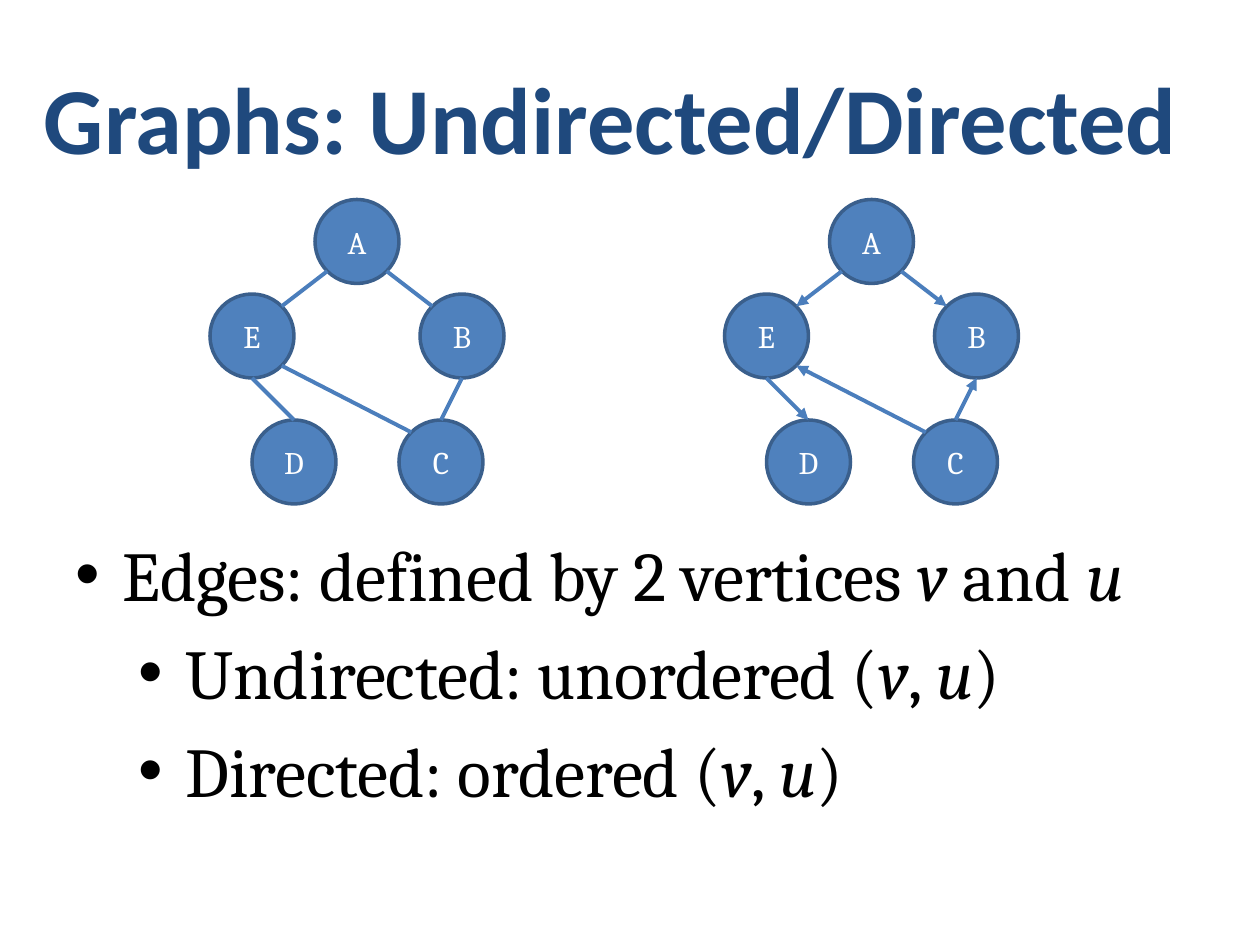
from dataclasses import dataclass
from math import cos, radians, sin
from typing import NamedTuple

from pptx import Presentation
from pptx.dml.color import RGBColor as Color
from pptx.enum.shapes import MSO_CONNECTOR as Connector, MSO_SHAPE as Preset
from pptx.enum.text import MSO_ANCHOR as Anchor, PP_ALIGN as Align
from pptx.oxml.ns import qn
from pptx.slide import Slide
from pptx.text.text import TextFrame
from pptx.util import Pt
from lxml.etree import SubElement


@dataclass(frozen=True)
class Theme:
    title_font: str = "Calibri"
    body_font: str = "Cambria"
    title_color: Color = Color.from_string("1F497D")
    body_color: Color = Color.from_string("000000")
    node_fill: Color = Color.from_string("4F81BD")
    node_line: Color = Color.from_string("3A5F8C")
    node_text: Color = Color.from_string("FFFFFF")
    edge_line: Color = Color.from_string("4B7EBC")
    title_size: int = 54
    body_size: int = 40
    node_size: int = 18
    node_width: float = 2
    edge_width: float = 2.25


class Node(NamedTuple):
    name: str
    left: float
    top: float


class Edge(NamedTuple):
    target: str
    target_angle: int
    source: str
    source_angle: int


class Bullet(NamedTuple):
    level: int
    spans: tuple[str, ...]


THEME = Theme()
DIAMETER = 48
NODES = (
    Node("A", 180, 114),
    Node("B", 240, 168),
    Node("C", 228, 240),
    Node("D", 144, 240),
    Node("E", 120, 168),
)
EDGES = (
    Edge("E", -45, "A", 135),
    Edge("B", -135, "A", 45),
    Edge("B", 90, "C", -90),
    Edge("E", 45, "C", -135),
    Edge("D", -90, "E", 90),
)
BULLETS = (
    Bullet(0, ("Edges: defined by 2 vertices ", "v ", "and ", "u")),
    Bullet(1, ("Undirected: unordered (", "v", ", ", "u", ")")),
    Bullet(1, ("Directed: ordered (", "v", ", ", "u", ")")),
)


def add_text_box(slide: Slide, left: float, top: float, width: float, height: float) -> TextFrame:
    box = slide.shapes.add_textbox(Pt(left), Pt(top), Pt(width), Pt(height))
    box.text_frame.word_wrap = True
    return box.text_frame


def add_title(slide: Slide, text: str) -> None:
    frame = add_text_box(slide, 18, 21.6, 684, 90)
    frame.vertical_anchor = Anchor.MIDDLE
    para = frame.paragraphs[0]
    para.text = text
    para.font.name = THEME.title_font
    para.font.size = Pt(THEME.title_size)
    para.font.bold = True
    para.font.color.rgb = THEME.title_color


def add_node(slide: Slide, node: Node, shift: float) -> None:
    circle = slide.shapes.add_shape(
        Preset.OVAL, Pt(node.left + shift), Pt(node.top), Pt(DIAMETER), Pt(DIAMETER)
    )
    circle.shadow.inherit = False
    circle.fill.solid()
    circle.fill.fore_color.rgb = THEME.node_fill
    circle.line.color.rgb = THEME.node_line
    circle.line.width = Pt(THEME.node_width)
    circle.text_frame.vertical_anchor = Anchor.MIDDLE
    para = circle.text_frame.paragraphs[0]
    para.text = node.name
    para.alignment = Align.CENTER
    para.font.name = THEME.body_font
    para.font.size = Pt(THEME.node_size)
    para.font.color.rgb = THEME.node_text


def rim_point(node: Node, angle: int, shift: float) -> tuple[Pt, Pt]:
    radius = DIAMETER / 2
    x = node.left + shift + radius * (1 + cos(radians(angle)))
    y = node.top + radius * (1 + sin(radians(angle)))
    return Pt(x), Pt(y)


def add_edge(slide: Slide, edge: Edge, shift: float, directed: bool) -> None:
    nodes = {node.name: node for node in NODES}
    start = rim_point(nodes[edge.target], edge.target_angle, shift)
    end = rim_point(nodes[edge.source], edge.source_angle, shift)
    line = slide.shapes.add_connector(Connector.STRAIGHT, *start, *end)
    line.line.color.rgb = THEME.edge_line
    line.line.width = Pt(THEME.edge_width)
    if directed:
        SubElement(line.line._get_or_add_ln(), qn("a:headEnd"), type="triangle")
    SubElement(line._element.spPr, qn("a:effectLst"))


def add_graph(slide: Slide, shift: float, directed: bool) -> None:
    for node in NODES:
        add_node(slide, node, shift)
    for edge in EDGES:
        add_edge(slide, edge, shift, directed)


def add_bullets(slide: Slide, bullets: tuple[Bullet, ...]) -> None:
    frame = add_text_box(slide, 36, 300, 648, 182)
    for index, bullet in enumerate(bullets):
        para = frame.add_paragraph() if index else frame.paragraphs[0]
        para.level = bullet.level
        para.space_before = Pt(8)
        para.font.name = THEME.body_font
        para.font.size = Pt(THEME.body_size)
        para.font.color.rgb = THEME.body_color
        for position, text in enumerate(bullet.spans):
            span = para.add_run()
            span.text = text
            span.font.italic = position % 2 == 1
        properties = para._p.get_or_add_pPr()
        properties.set("marL", str(Pt(27 + 36 * bullet.level)))
        properties.set("indent", str(Pt(-27)))
        mark_color = SubElement(properties, qn("a:buClr"))
        SubElement(mark_color, qn("a:srgbClr"), val=str(THEME.body_color))
        SubElement(properties, qn("a:buFont"), typeface="Arial")
        SubElement(properties, qn("a:buChar"), char="•")
        properties.append(properties.find(qn("a:defRPr")))


def main() -> None:
    deck = Presentation()
    deck.slide_width = Pt(720)
    deck.slide_height = Pt(540)
    slide = deck.slides.add_slide(deck.slide_layouts[6])
    add_title(slide, "Graphs: Undirected/Directed")
    add_graph(slide, 0, directed=False)
    add_graph(slide, 294, directed=True)
    add_bullets(slide, BULLETS)
    deck.save("out.pptx")


if __name__ == "__main__":
    main()
